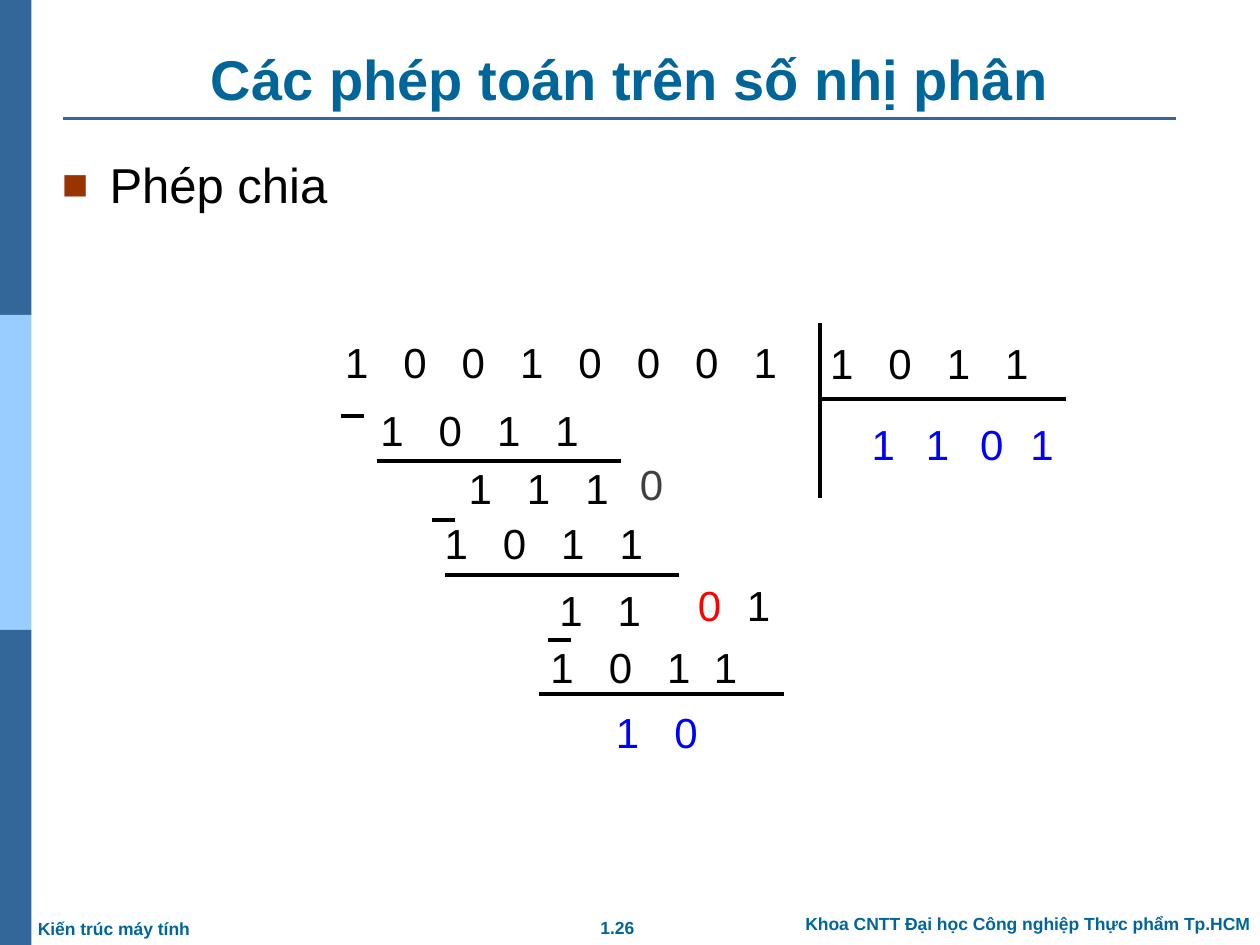
from dataclasses import dataclass

from lxml import etree
from pptx import Presentation
from pptx import util as u
from pptx.dml.color import RGBColor
from pptx.enum import shapes, text
from pptx.oxml import ns

BLACK = RGBColor(0x00, 0x00, 0x00)
BLUE = RGBColor(0x00, 0x00, 0xFF)
RED = RGBColor(0xFF, 0x00, 0x00)
GRAY = RGBColor(0x40, 0x40, 0x40)
STEEL = RGBColor(0x33, 0x66, 0x99)
SKY = RGBColor(0x99, 0xCC, 0xFF)
TEAL = RGBColor(0x00, 0x66, 0x99)
BROWN = RGBColor(0x99, 0x33, 0x00)

FONT = "Arial"
DIGIT_STEP = 33.35
NARROW_STEP = 26.68
BAND_HEIGHT = 2.5


@dataclass(frozen=True)
class DigitRow:
    digits: str
    left: float
    top: float
    color: RGBColor = BLACK
    last_step: float = DIGIT_STEP


@dataclass(frozen=True)
class Rule:
    x1: float
    y1: float
    x2: float
    y2: float
    color: RGBColor = BLACK
    width: float = 2.25


@dataclass(frozen=True)
class Footer:
    wording: str
    left: float
    top: float
    width: float
    alignment: text.PP_ALIGN = text.PP_ALIGN.CENTER


QUOTIENT_LEFTS = (6.82, 7.25, 7.68, 8.08)

DIGIT_ROWS = [
    DigitRow("10010001", 2.64, 2.62),
    DigitRow("1011", 6.49, 2.63),
    DigitRow("1011", 2.92, 3.16),
    DigitRow("111", 3.62, 3.62),
    DigitRow("0", 4.98, 3.59, GRAY),
    DigitRow("1011", 3.43, 4.06),
    DigitRow("11", 4.34, 4.59),
    DigitRow("0", 5.44, 4.55, RED),
    DigitRow("1", 5.83, 4.55),
    DigitRow("1011", 4.27, 5.04, last_step=NARROW_STEP),
    DigitRow("10", 4.79, 5.56, BLUE),
    *(DigitRow(digit, left, 3.27, BLUE) for digit, left in zip("1101", QUOTIENT_LEFTS)),
]

RULES = [
    Rule(0.5, 0.94, 9.33, 0.94, STEEL, 1.5),
    Rule(6.51, 2.56, 6.51, 3.95),
    Rule(6.51, 3.17, 8.46, 3.17),
    Rule(2.99, 3.66, 4.93, 3.66),
    Rule(3.53, 4.56, 5.39, 4.56),
    Rule(4.28, 5.51, 6.22, 5.51),
    *(Rule(x, y, x + 0.18, y) for x, y in ((2.71, 3.3), (3.43, 4.13), (4.35, 5.08))),
]

FOOTERS = [
    Footer("1.26", 4.7, 7.23, 0.4),
    Footer("Khoa CNTT Đại học Công nghiệp Thực phẩm Tp.HCM", 6.31, 7.2, 3.69),
    Footer("Kiến trúc máy tính", 0.3, 7.24, 1.4, text.PP_ALIGN.LEFT),
]


def place(shape, left: float, top: float, width: float, height: float) -> None:
    shape.left, shape.top = u.Inches(left), u.Inches(top)
    shape.width, shape.height = u.Inches(width), u.Inches(height)


def add_element(parent, tag: str, **attributes: str):
    element = etree.SubElement(parent, ns.qn(tag))
    for name, value in attributes.items():
        element.set(name, value)
    return element


def format_font(paragraph, size: float, color: RGBColor, bold: bool = False) -> None:
    paragraph.font.name = FONT
    paragraph.font.size = u.Pt(size)
    paragraph.font.bold = bold
    paragraph.font.color.rgb = color


def add_band(slide, index: int, color: RGBColor) -> None:
    shape = slide.shapes.add_shape(
        shapes.MSO_SHAPE.RECTANGLE,
        0, u.Inches(index * BAND_HEIGHT), u.Inches(0.25), u.Inches(BAND_HEIGHT),
    )
    shape.shadow.inherit = False
    shape.fill.solid()
    shape.fill.fore_color.rgb = color
    shape.line.fill.background()


def add_rule(slide, rule: Rule) -> None:
    connector = slide.shapes.add_connector(
        shapes.MSO_CONNECTOR.STRAIGHT,
        u.Inches(rule.x1), u.Inches(rule.y1), u.Inches(rule.x2), u.Inches(rule.y2),
    )
    connector.line.color.rgb = rule.color
    connector.line.width = u.Pt(rule.width)
    add_element(connector._element.spPr, "a:effectLst")


def add_text_box(slide, left: float, top: float, width: float, height: float, wording: str):
    shape = slide.shapes.add_textbox(
        u.Inches(left), u.Inches(top), u.Inches(width), u.Inches(height)
    )
    shape.text_frame.word_wrap = False
    shape.text_frame.paragraphs[0].text = wording
    return shape.text_frame


def add_digits(slide, row: DigitRow) -> None:
    gaps = len(row.digits) - 1
    width = 0.5 + gaps * DIGIT_STEP / 72
    frame = add_text_box(slide, row.left, row.top, width, 0.51, "\t".join(row.digits))
    paragraph = frame.paragraphs[0]
    paragraph.alignment = text.PP_ALIGN.LEFT
    if gaps:
        tabs = add_element(paragraph._p.get_or_add_pPr(), "a:tabLst")
        stops = [DIGIT_STEP * number for number in range(1, gaps)]
        stops.append(DIGIT_STEP * (gaps - 1) + row.last_step)
        for stop in stops:
            add_element(tabs, "a:tab", pos=str(u.Pt(stop)), algn="l")
    format_font(paragraph, 24, row.color)


def add_footer(slide, footer: Footer) -> None:
    frame = add_text_box(slide, footer.left, footer.top, footer.width, 0.26, footer.wording)
    frame.margin_left = frame.margin_right = 0
    paragraph = frame.paragraphs[0]
    paragraph.alignment = footer.alignment
    format_font(paragraph, 10, TEAL, bold=True)


def fill_title(title) -> None:
    place(title, 0.5, 0.31, 9, 0.63)
    title.text_frame.auto_size = text.MSO_AUTO_SIZE.NONE
    title.text_frame.vertical_anchor = text.MSO_ANCHOR.BOTTOM
    paragraph = title.text_frame.paragraphs[0]
    paragraph.text = "Các phép toán trên số nhị phân"
    paragraph.alignment = text.PP_ALIGN.CENTER
    format_font(paragraph, 32, TEAL, bold=True)


def fill_body(body) -> None:
    place(body, 0.39, 1.18, 3.57, 0.98)
    body.text_frame.auto_size = text.MSO_AUTO_SIZE.NONE
    paragraph = body.text_frame.paragraphs[0]
    paragraph.text = "Phép chia"
    properties = paragraph._p.get_or_add_pPr()
    properties.set("marL", str(u.Inches(0.38)))
    properties.set("indent", str(u.Inches(-0.38)))
    bullet_color = add_element(properties, "a:buClr")
    add_element(bullet_color, "a:srgbClr", val=str(BROWN))
    add_element(properties, "a:buSzPct", val="90000")
    add_element(properties, "a:buFont", typeface=FONT)
    add_element(properties, "a:buChar", char="■")
    paragraph.space_before = u.Pt(0)
    format_font(paragraph, 28, BLACK)


def main() -> None:
    presentation = Presentation()
    presentation.slide_width, presentation.slide_height = u.Inches(10), u.Inches(7.5)
    slide = presentation.slides.add_slide(presentation.slide_layouts[1])
    fill_title(slide.shapes.title)
    fill_body(slide.placeholders[1])
    for index, color in enumerate((STEEL, SKY, STEEL)):
        add_band(slide, index, color)
    for rule in RULES:
        add_rule(slide, rule)
    for row in DIGIT_ROWS:
        add_digits(slide, row)
    for footer in FOOTERS:
        add_footer(slide, footer)
    presentation.save("out.pptx")


if __name__ == "__main__":
    main()
